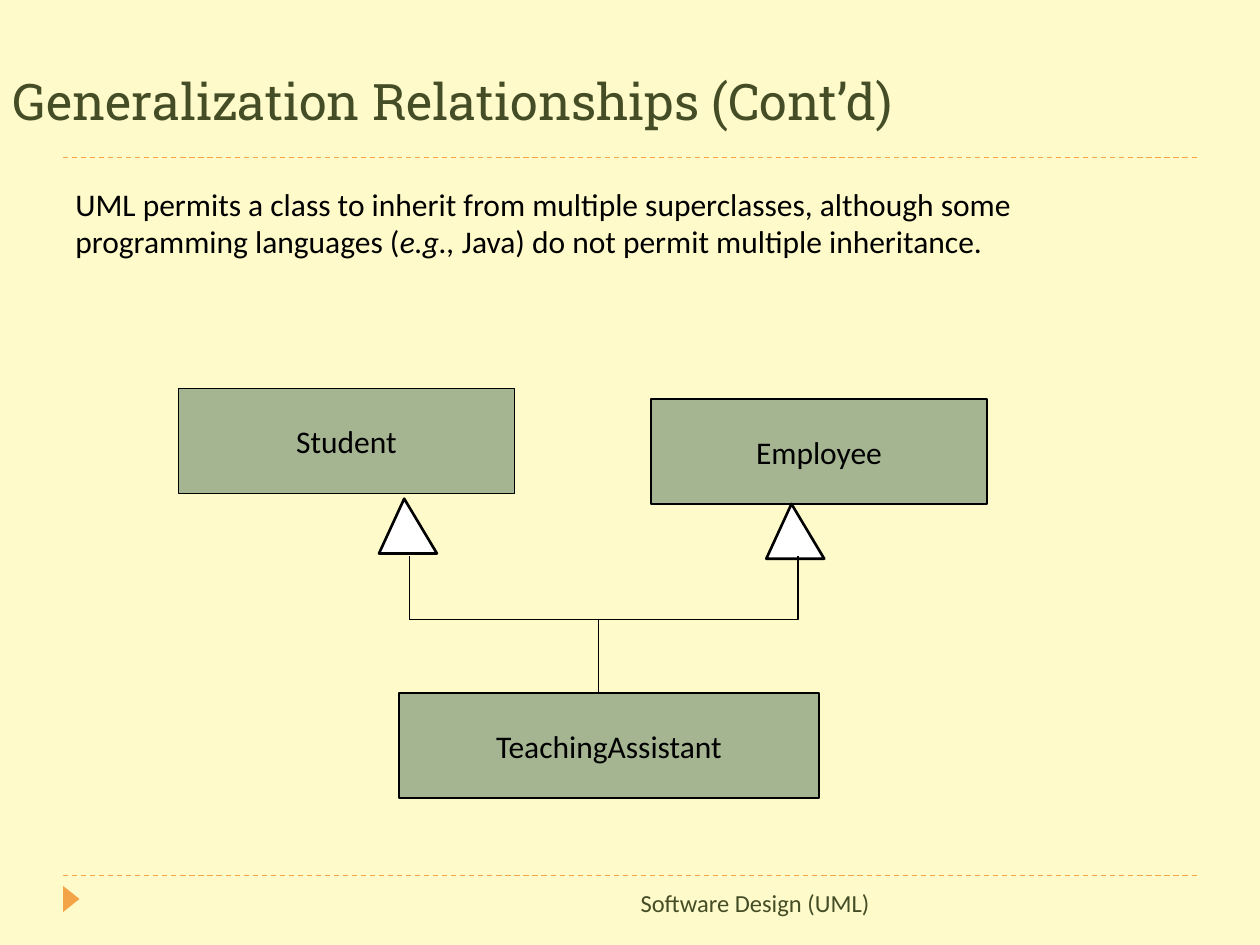
from pptx import Presentation
from pptx.dml.color import RGBColor
from pptx.enum.dml import MSO_LINE
from pptx.enum.shapes import MSO_CONNECTOR, MSO_SHAPE
from pptx.enum.text import MSO_ANCHOR as Anchor, PP_ALIGN as Align
from pptx.oxml.ns import qn
from pptx.util import Pt
from lxml import etree

CREAM = RGBColor(0xFE, 0xFA, 0xC9)
ORANGE = RGBColor(0xF3, 0xA4, 0x47)
OLIVE = RGBColor(0x44, 0x4D, 0x26)
SAGE = RGBColor(0xA5, 0xB5, 0x92)
BLACK = RGBColor(0, 0, 0)
WHITE = RGBColor(255, 255, 255)

# Content: spans are (text, italic); places are left, top, width, height in points
TITLE_FONT = {"name": "Roboto Slab", "size": Pt(28.8)}
BODY_FONT = {"name": "Calibri", "size": Pt(18)}
FOOTER_FONT = {"name": "Calibri", "size": Pt(14)}
TEXTS = [
    ([("Generalization Relationships (Cont’d)", False)],
     (0, 36, 732, 42), TITLE_FONT, OLIVE, Align.LEFT, Anchor.BOTTOM),
    ([("UML permits a class to inherit from multiple superclasses, although some "
       "programming languages (", False),
      ("e.g.,", True),
      (" Java) do not permit multiple inheritance.", False)],
     (36, 102, 642, 94), BODY_FONT, BLACK, Align.LEFT, Anchor.TOP),
    ([("Software Design (UML)", False)],
     (186, 504, 318, 36), FOOTER_FONT, OLIVE, Align.RIGHT, Anchor.TOP),
]
CLASSES = [
    ("Student", 102, 222, 192),
    ("Employee", 372, 228, 192),
    ("TeachingAssistant", 228, 396, 240),
]
CLASS_HEIGHT = 60
RULE_TOPS = [90, 500.4]
ARROW_TIPS = [(231, 285), (452.3, 288)]
ARROW_OFFSETS = [(0, 0), (-14.4, 31.3), (18.7, 31.3)]
BRANCH = [(234, 318), (234, 354), (456, 354), (456, 318)]
STEM = (342, 354, 342, 396)


def write(frame, spans, font, color, align, anchor, wrap=True):
    frame.word_wrap = wrap
    frame.vertical_anchor = anchor
    para = frame.paragraphs[0]
    para.alignment = align
    for text, italic in spans:
        span = para.add_run()
        span.text = text
        for key, value in {**font, "italic": italic}.items():
            setattr(span.font, key, value)
        span.font.color.rgb = color


def paint(shape, fill, line, width=0.75):
    shape.shadow.inherit = False
    if fill is None:
        shape.fill.background()
    else:
        shape.fill.solid()
        shape.fill.fore_color.rgb = fill
    if line is None:
        shape.line.fill.background()
    else:
        shape.line.color.rgb = line
        shape.line.width = Pt(width)


def add_line(page, ends, color, width, dash=None):
    line = page.shapes.add_connector(MSO_CONNECTOR.STRAIGHT, *map(Pt, ends))
    line.line.color.rgb = color
    line.line.width = Pt(width)
    if dash:
        line.line.dash_style = dash
    etree.SubElement(line._element.spPr, qn("a:effectLst"))


def add_outline(page, points, close, fill, width):
    # Scale: one hundredth of a point per unit
    units = [(round(x * 100), round(y * 100)) for x, y in points]
    builder = page.shapes.build_freeform(*units[0], scale=Pt(1) / 100)
    builder.add_line_segments(units[1:], close=close)
    paint(builder.convert_to_shape(), fill, BLACK, width)


deck = Presentation()
deck.slide_width, deck.slide_height = Pt(720), Pt(540)
page = deck.slides.add_slide(deck.slide_layouts[6])
page.background.fill.solid()
page.background.fill.fore_color.rgb = CREAM

# Dashed rules and footer marker
for top in RULE_TOPS:
    add_line(page, (36, top, 684, top), ORANGE, 0.75, MSO_LINE.DASH)
marker = page.shapes.add_shape(MSO_SHAPE.ISOSCELES_TRIANGLE,
                               Pt(33.2), Pt(509), Pt(15), Pt(9.4))
marker.rotation = 90
paint(marker, ORANGE, None)

# Title, body and footer
for spans, place, *style in TEXTS:
    box = page.shapes.add_textbox(*map(Pt, place))
    write(box.text_frame, spans, *style)

# Class boxes
for name, left, top, width in CLASSES:
    box = page.shapes.add_shape(MSO_SHAPE.RECTANGLE,
                                *map(Pt, (left, top, width, CLASS_HEIGHT)))
    paint(box, SAGE, BLACK)
    write(box.text_frame, [(name, False)], BODY_FONT, BLACK,
          Align.CENTER, Anchor.MIDDLE, wrap=False)

# Generalization arrows and the branch that joins them
add_line(page, STEM, BLACK, 1)
for x, y in ARROW_TIPS:
    corners = [(x + dx, y + dy) for dx, dy in ARROW_OFFSETS]
    add_outline(page, corners, True, WHITE, 1.5)
add_outline(page, BRANCH, False, None, 1)

deck.save("out.pptx")
